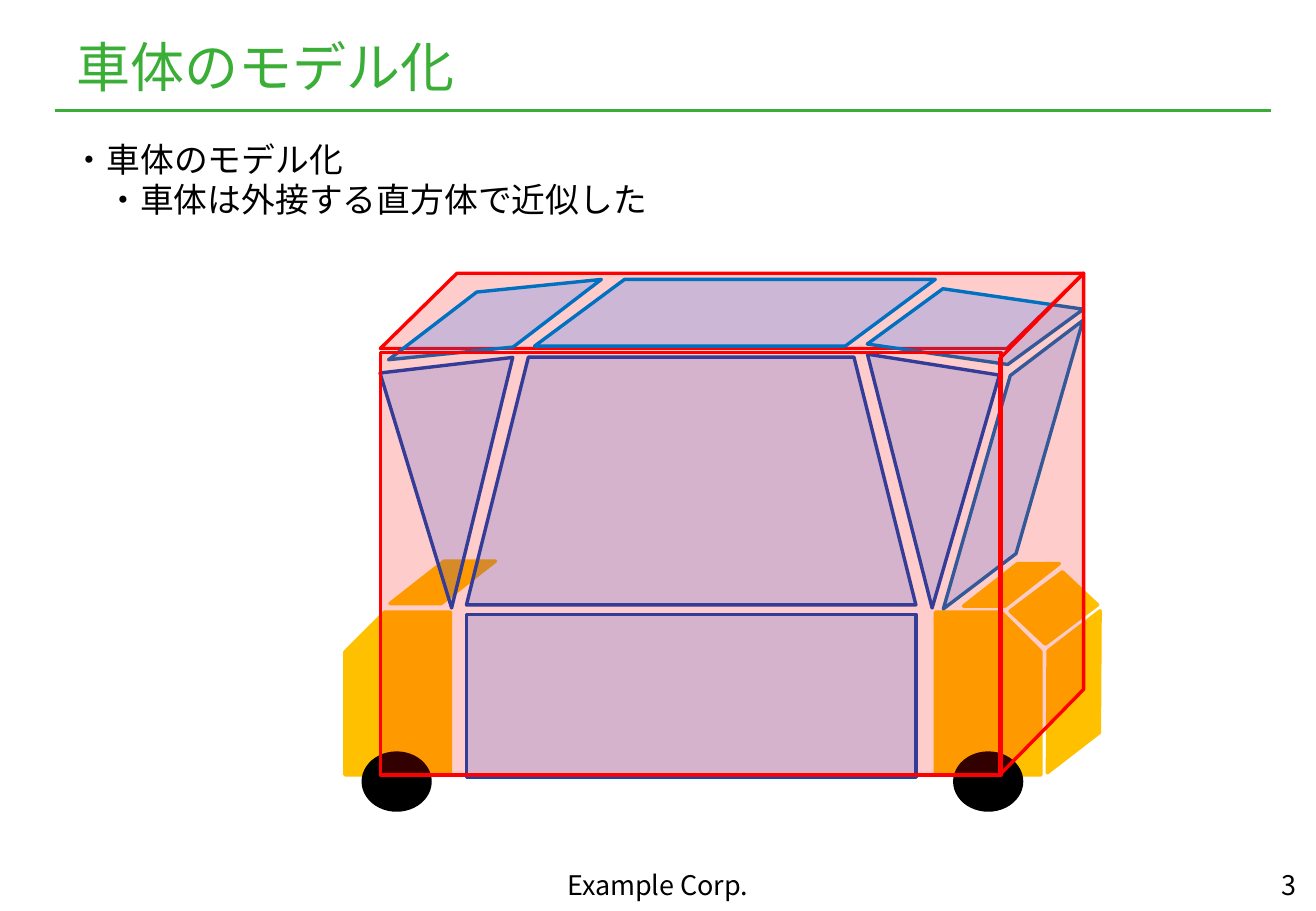
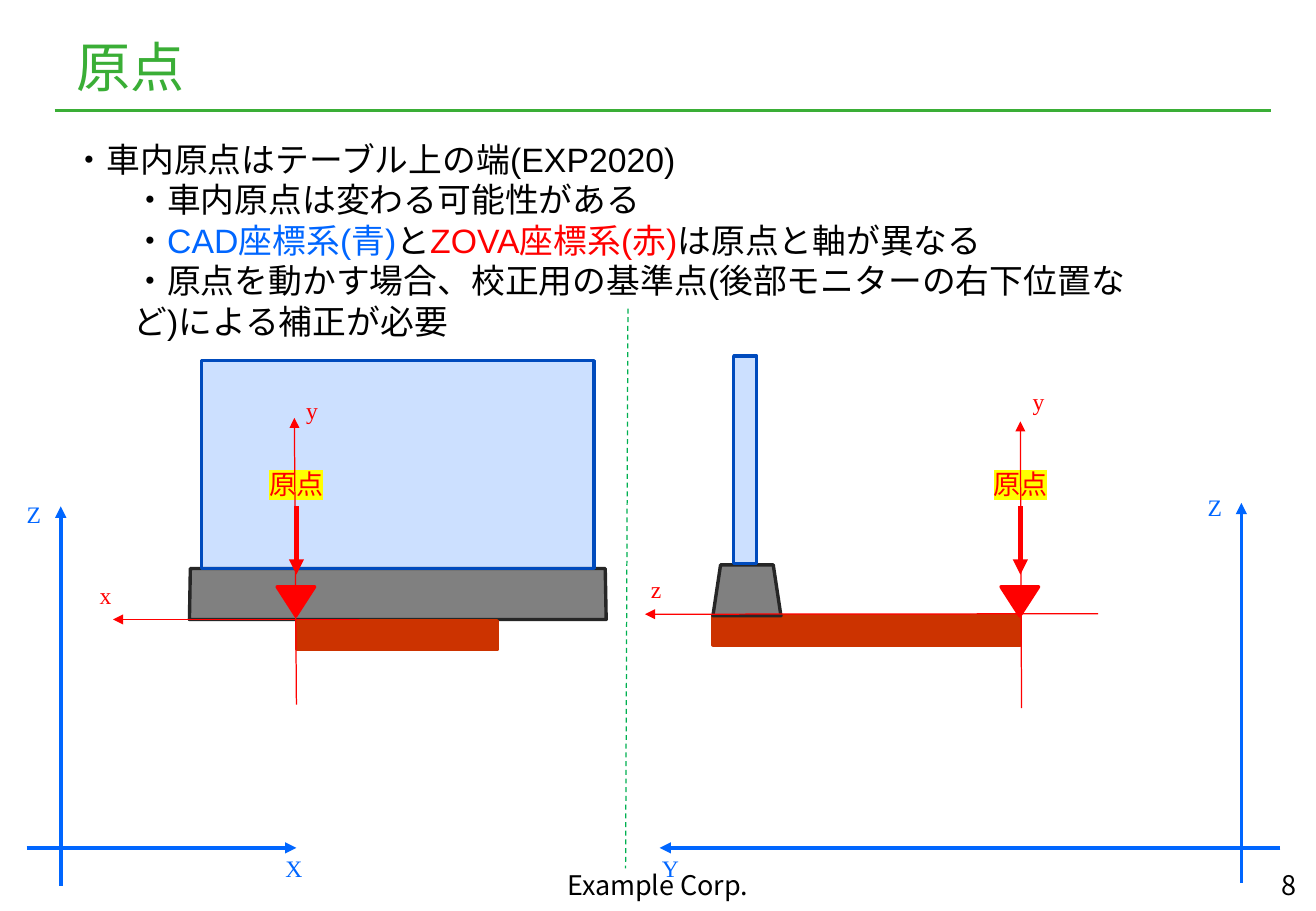
"""Build two slides on the car body model and its origin."""
from lxml import etree
from pptx import Presentation
from pptx.dml.color import RGBColor
from pptx.enum.dml import MSO_LINE
from pptx.enum.lang import MSO_LANGUAGE_ID
from pptx.enum.shapes import MSO_CONNECTOR, MSO_SHAPE
from pptx.enum.text import MSO_ANCHOR, PP_ALIGN
from pptx.oxml.ns import qn
from pptx.util import Pt

RECT, OVAL = MSO_SHAPE.RECTANGLE, MSO_SHAPE.OVAL
TRI, TRAP = MSO_SHAPE.ISOSCELES_TRIANGLE, MSO_SHAPE.TRAPEZOID
SLANT, SNIP = MSO_SHAPE.PARALLELOGRAM, MSO_SHAPE.SNIP_1_RECTANGLE
MERGE = MSO_SHAPE.FLOWCHART_MERGE
LEFT, MID, RIGHT = PP_ALIGN.LEFT, PP_ALIGN.CENTER, PP_ALIGN.RIGHT
TOP, BASE = MSO_ANCHOR.TOP, MSO_ANCHOR.BOTTOM
JAPAN = MSO_LANGUAGE_ID.JAPANESE
DASH = MSO_LINE.DASH
STRAIGHT = MSO_CONNECTOR.STRAIGHT

GREEN, BLACK, RED, BLUE = "3AAE36", "000000", "FF0000", "0066FF"
NOTO, ARIAL, TIMES = "Noto Sans CJK JP", "Arial", "Times New Roman"

GLASS = (BLUE, 20, "004BBD")
ROOF = (BLUE, 20, "0070C0")
BOX = (RED, 20, RED)
PAINT = ("FFC000", 100, "FFC000")
TYRE = (BLACK, 100, BLACK)
STAND = ("808080", 100, "262626")
TABLE = ("CC3300", 100, "CC3300")
MARK = (RED, 100, RED)


def color(code):
    """Turn a hex string into a colour."""
    return RGBColor.from_string(code)


def write(page, place, paras, size, font, align=LEFT, anchor=TOP, pad=3.6, indent=0, glow=None):
    """Add a text box; each paragraph is a list of (text, colour) runs."""
    frame = page.shapes.add_textbox(*map(Pt, place)).text_frame
    frame.word_wrap = True
    frame.vertical_anchor = anchor
    frame.margin_top = frame.margin_bottom = Pt(pad)
    for i, parts in enumerate(paras):
        para = frame.add_paragraph() if i else frame.paragraphs[0]
        para.alignment = align
        if i and indent:
            para._p.get_or_add_pPr().set("marL", str(Pt(indent)))
        for text, hue in parts:
            run = para.add_run()
            run.text = text
            run.font.size = Pt(size)
            run.font.color.rgb = color(hue)
            run.font.language_id = JAPAN
            props = run.font._element
            if glow:
                light = etree.SubElement(props, qn("a:highlight"))
                etree.SubElement(light, qn("a:srgbClr"), val=glow)
            run.font.name = font
            etree.SubElement(props, qn("a:ea"), typeface=font)


deck = Presentation()
deck.slide_width, deck.slide_height = Pt(780), Pt(540)
blank = deck.slide_layouts[6]
car, origin = [deck.slides.add_slide(blank) for _ in range(2)]

heads = [(car, "車体のモデル化", "3"), (origin, "原点", "8")]
for page, title, number in heads:
    write(page, (38.2, 15.1, 615.6, 45.4), [[(title, GREEN)]], 32, NOTO, anchor=BASE, pad=2)
    write(page, (593.3, 514, 182.2, 18.7), [[(number, BLACK)]], 16, NOTO, RIGHT, pad=1)
    write(page, (266.4, 514, 247, 20.2), [[("Example Corp.", BLACK)]], 16, NOTO, MID, pad=1)

write(car, (36, 78.5, 453.6, 55.4), [
    [("・車体のモデル化", BLACK)],
    [("・車体は外接する直方体で近似した", BLACK)],
], 20, ARIAL, indent=20)
write(origin, (36, 78.5, 649.4, 128.2), [
    [("・車内原点はテーブル上の端(EXP2020)", BLACK)],
    [("・車内原点は変わる可能性がある", BLACK)],
    [("・", BLACK), ("CAD座標系(青)", BLUE), ("と", BLACK),
     ("ZOVA座標系(赤)", RED), ("は原点と軸が異なる", BLACK)],
    [("・原点を動かす場合、校正用の基準点(後部モニターの右下位置など)による補正が必要", BLACK)],
], 20, ARIAL, indent=36)

forms = [
    (car, TRI, 502.5, 215.3, 79.2, 142.6, GLASS, 0.225, 189, None),
    (car, RECT, 276.5, 364.3, 266.4, 96.5, GLASS, None, 0, None),
    (car, SNIP, 554.4, 362.9, 62.6, 96.5, PAINT, 0.375, 0, None),
    (car, SNIP, 204.5, 362.9, 62.6, 96.5, PAINT, 0.375, 0, "flipH"),
    (car, OVAL, 215.3, 446.4, 39.6, 33.8, TYRE, None, 0, None),
    (car, OVAL, 565.9, 446.4, 39.6, 33.8, TYRE, None, 0, None),
    (car, SLANT, 225.4, 162, 416.9, 44.6, BOX, 1.019, 0, None),
    (car, SLANT, 516.2, 174.2, 123.8, 38.9, ROOF, 1.019, 8.3, None),
    (car, SLANT, 316.8, 165.6, 237.6, 39.6, ROOF, 1.349, 0, None),
    (car, SLANT, 228.2, 172.1, 130.3, 34.6, ROOF, 1.62, 354.2, None),
    (car, SLANT, 506.9, 259.2, 187.2, 32.4, ROOF, 1.338, 106, "flipV"),
    (car, SLANT, 571, 334.1, 56.9, 25.2, PAINT, 1.275, 0, None),
    (car, SLANT, 594.7, 381.6, 83.5, 56.9, PAINT, 0.782, 322.3, None),
    (car, SLANT, 231.1, 332.6, 62.6, 25.2, PAINT, 1.275, 0, None),
    (car, TRI, 233.3, 216, 79.2, 143.3, GLASS, 0.673, 173.3, None),
    (car, TRAP, 276.5, 211.7, 266.4, 146.9, GLASS, 0.25, 0, None),
    (car, RECT, 225.4, 208.8, 367.9, 250.6, BOX, None, 0, None),
    (car, SLANT, 607, 341.3, 35.3, 38.2, PAINT, 0.189, 43.2, None),
    (car, SLANT, 468.7, 285.8, 297.4, 49.7, BOX, 1.019, 90, "flipV"),
    (origin, TRAP, 112.3, 337, 247, 30.2, STAND, 0.018, 0, None),
    (origin, RECT, 119.5, 213.8, 232.6, 123.1, GLASS, None, 0, None),
    (origin, RECT, 175.7, 367.9, 118.8, 17.3, TABLE, None, 0, None),
    (origin, RECT, 422.6, 365, 182.2, 17.3, TABLE, None, 0, None),
    (origin, TRAP, 422.6, 334.8, 40.3, 30.2, STAND, 0.151, 0, None),
    (origin, RECT, 434.9, 211, 13.7, 123.1, GLASS, None, 0, None),
    (origin, MERGE, 164.2, 347.8, 22.3, 17.3, MARK, None, 0, None),
    (origin, MERGE, 593.3, 347.8, 22.3, 17.3, MARK, None, 0, None),
]
for page, kind, x, y, wide, high, (fill, alpha, edge), bend, turn, flip in forms:
    form = page.shapes.add_shape(kind, Pt(x), Pt(y), Pt(wide), Pt(high))
    form.shadow.inherit = False
    form.fill.solid()
    form.fill.fore_color.rgb = color(fill)
    form.line.color.rgb = color(edge)
    form.line.width = Pt(2)
    form.rotation = turn
    props = form.element.spPr
    if bend is not None:
        form.adjustments[0] = bend
    if alpha < 100:
        tint = props.find(qn("a:solidFill")).find(qn("a:srgbClr"))
        etree.SubElement(tint, qn("a:alpha"), val=str(alpha * 1000))
    if flip:
        props.find(qn("a:xfrm")).set(flip, "1")

for x in (149, 578.2):
    write(origin, (x, 273.6, 53.3, 26.6), [[("原点", RED)]], 16, ARIAL, MID, glow="FFFF00")

labels = [
    ("y", 158.4, 231.1, RED), ("x", 36, 340.6, RED),
    ("y", 589, 226.1, RED), ("z", 362.2, 337, RED),
    ("Z", -6.5, 293, BLUE), ("X", 147.6, 502.6, BLUE),
    ("Z", 693.4, 288.7, BLUE), ("Y", 370.8, 502.6, BLUE),
]
for text, x, y, hue in labels:
    write(origin, (x, y, 53.3, 24.5), [[(text, hue)]], 14, TIMES, MID)

lines = [
    (car, 32.4, 65.5, 753.1, 65.5, GREEN, 2.25, False),
    (origin, 32.4, 65.5, 753.1, 65.5, GREEN, 2.25, False),
    (origin, 175.7, 300.2, 175.7, 340.6, RED, 3, True),
    (origin, 604.8, 300.2, 604.8, 340.6, RED, 3, True),
    (origin, 213.1, 367.2, 67, 367.2, RED, 0.75, True),
    (origin, 175.7, 417.6, 174.5, 247.7, RED, 0.75, True),
    (origin, 650.9, 363.8, 382.3, 364.1, RED, 0.75, True),
    (origin, 605.5, 419.8, 604.8, 249.8, RED, 0.75, True),
    (origin, 15.8, 502.6, 175.7, 502.6, BLUE, 2.25, True),
    (origin, 36, 524.9, 36, 300.2, BLUE, 2.25, True),
    (origin, 758.9, 502.6, 391, 502.6, BLUE, 2.25, True),
    (origin, 735.8, 523.4, 735.8, 298.1, BLUE, 2.25, True),
    (origin, 372.2, 182.9, 370.8, 514.8, "00B050", 0.75, False),
]
for page, *ends, hue, width, arrow in lines:
    link = page.shapes.add_connector(STRAIGHT, *map(Pt, ends))
    link.line.color.rgb = color(hue)
    link.line.width = Pt(width)
    if hue == "00B050":
        link.line.dash_style = DASH
    props = link.element.spPr
    if arrow:
        etree.SubElement(props.find(qn("a:ln")), qn("a:tailEnd"), type="triangle")
    etree.SubElement(props, qn("a:effectLst"))

deck.save("out.pptx")
